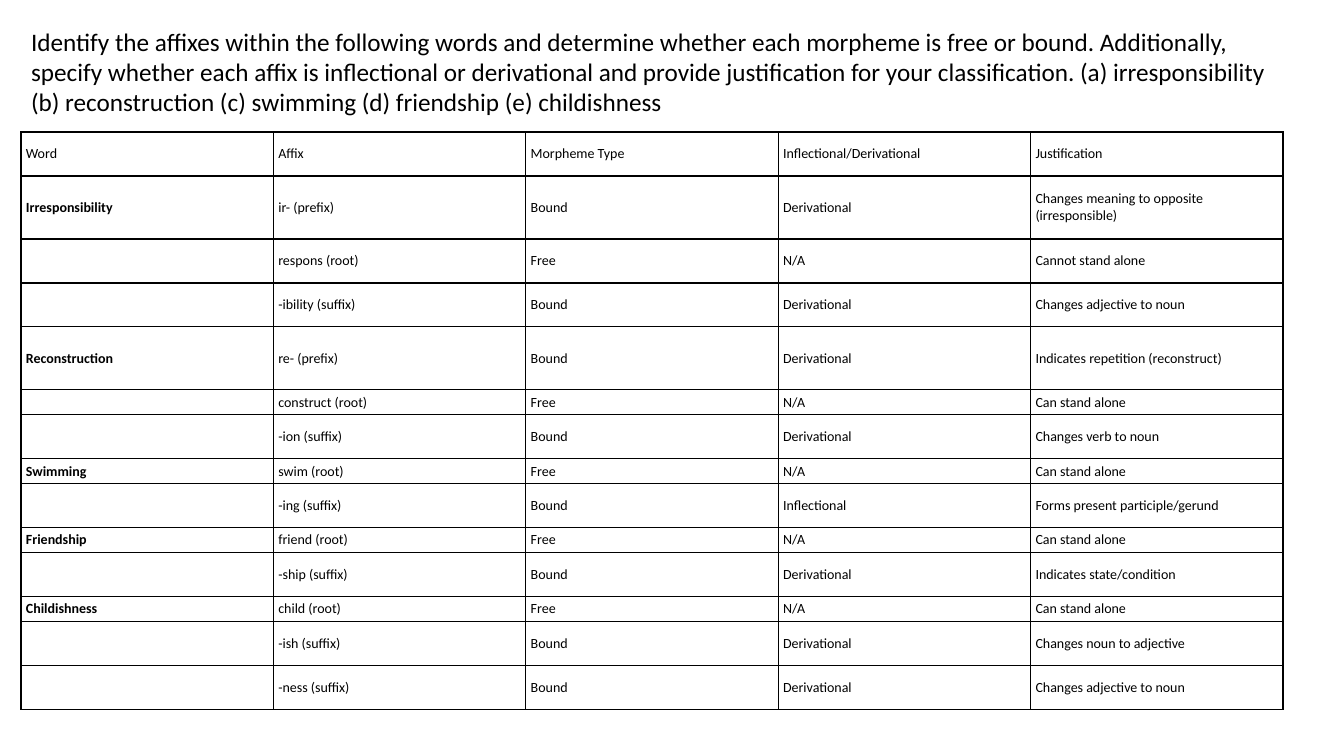
import pptx
import pptx.util
import pptx.dml.color
import pptx.enum.text
import pptx.oxml
import pptx.oxml.ns

SCALE = 914400 / 100.8  # EMU in one px

TITLE = (
    "Identify the affixes within the following words and determine whether each "
    "morpheme is free or bound. Additionally, specify whether each affix is "
    "inflectional or derivational and provide justification for your classification. "
    "(a) irresponsibility (b) reconstruction (c) swimming (d) friendship (e) childishness"
)
LOW, MID, TALL = 25, 44, 63

# Row height, then the five cells
ROWS = [
    (MID, "Word", "Affix", "Morpheme Type", "Inflectional/Derivational", "Justification"),
    (TALL, "Irresponsibility", "ir- (prefix)", "Bound", "Derivational",
     "Changes meaning to opposite (irresponsible)"),
    (MID, "", "respons (root)", "Free", "N/A", "Cannot stand alone"),
    (MID, "", "-ibility (suffix)", "Bound", "Derivational", "Changes adjective to noun"),
    (TALL, "Reconstruction", "re- (prefix)", "Bound", "Derivational",
     "Indicates repetition (reconstruct)"),
    (LOW, "", "construct (root)", "Free", "N/A", "Can stand alone"),
    (MID, "", "-ion (suffix)", "Bound", "Derivational", "Changes verb to noun"),
    (LOW, "Swimming", "swim (root)", "Free", "N/A", "Can stand alone"),
    (MID, "", "-ing (suffix)", "Bound", "Inflectional", "Forms present participle/gerund"),
    (LOW, "Friendship", "friend (root)", "Free", "N/A", "Can stand alone"),
    (MID, "", "-ship (suffix)", "Bound", "Derivational", "Indicates state/condition"),
    (LOW, "Childishness", "child (root)", "Free", "N/A", "Can stand alone"),
    (MID, "", "-ish (suffix)", "Bound", "Derivational", "Changes noun to adjective"),
    (MID, "", "-ness (suffix)", "Bound", "Derivational", "Changes adjective to noun"),
]


def px(count):
    return pptx.util.Emu(round(count * SCALE))


def color(code):
    return pptx.dml.color.RGBColor.from_string(code)


class Page:
    font = "Calibri"
    ink = "000000"

    def __init__(self, slide):
        self.slide = slide

    def style(self, para, size, bold=False):
        for run in para.runs:
            run.font.name = self.font
            run.font.size = pptx.util.Pt(size)
            run.font.bold = bold
            run.font.color.rgb = color(self.ink)

    def title(self, text, left, top, width, height, size):
        shape = self.slide.shapes.title
        shape.left, shape.top = px(left), px(top)
        shape.width, shape.height = px(width), px(height)
        frame = shape.text_frame
        frame.text = text
        frame.word_wrap = True
        frame.auto_size = pptx.enum.text.MSO_AUTO_SIZE.SHAPE_TO_FIT_TEXT
        frame.vertical_anchor = pptx.enum.text.MSO_ANCHOR.TOP
        para = frame.paragraphs[0]
        para.alignment = pptx.enum.text.PP_ALIGN.LEFT
        self.style(para, size)

    def border(self, cell):
        # Borders come before the fill in the cell properties
        props = cell._tc.get_or_add_tcPr()
        for index, side in enumerate(("lnL", "lnR", "lnT", "lnB")):
            props.insert(index, pptx.oxml.parse_xml(
                f'<a:{side} {pptx.oxml.ns.nsdecls("a")} w="12700"><a:solidFill>'
                f'<a:srgbClr val="{self.ink}"/></a:solidFill></a:{side}>'))

    def cell(self, cell, text, size, bold):
        cell.fill.background()
        cell.vertical_anchor = pptx.enum.text.MSO_ANCHOR.MIDDLE
        cell.margin_left = cell.margin_right = px(5)
        cell.margin_top = cell.margin_bottom = px(2)
        para = cell.text_frame.paragraphs[0]
        if text:
            para.text = text
            self.style(para, size, bold)
        else:
            # Keep blank cells from stretching the low rows
            para._p.append(pptx.oxml.parse_xml(
                f'<a:endParaRPr {pptx.oxml.ns.nsdecls("a")} sz="{size * 100}"/>'))
        self.border(cell)

    def table(self, rows, left, top, width, size):
        count = len(rows[0]) - 1
        height = sum(row[0] for row in rows)
        table = self.slide.shapes.add_table(
            len(rows), count, px(left), px(top), px(width), px(height)).table
        table.first_row = table.horz_banding = False
        for column in table.columns:
            column.width = px(width / count)
        for r, (tall, *texts) in enumerate(rows):
            table.rows[r].height = px(tall)
            for c, text in enumerate(texts):
                self.cell(table.cell(r, c), text, size, bold=r > 0 and c == 0)


def main():
    deck = pptx.Presentation()
    deck.slide_width, deck.slide_height = px(1344), px(756)
    page = Page(deck.slides.add_slide(deck.slide_layouts[5]))

    # Task
    page.title(TITLE, 21, 21, 1286, 102, size=18)

    # Answers
    page.table(ROWS, 21, 132, 1262, size=10)

    deck.save("out.pptx")


if __name__ == "__main__":
    main()
